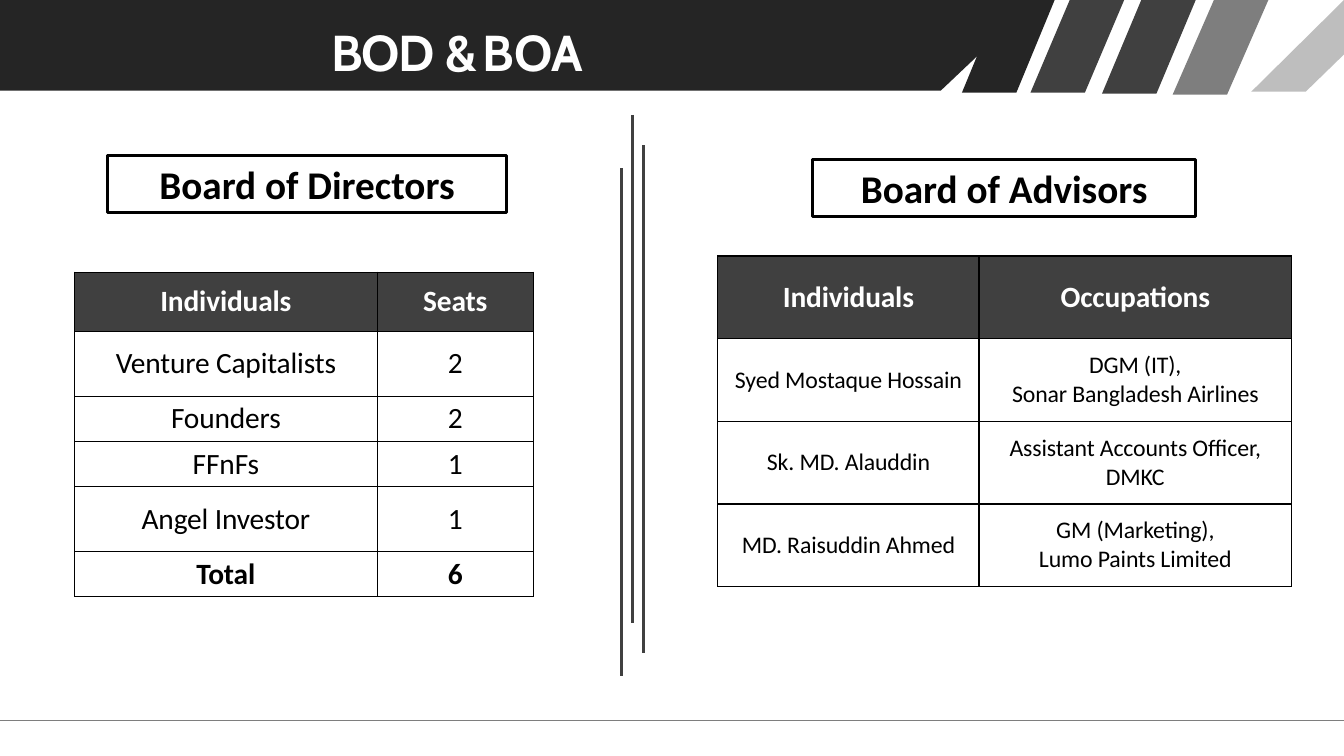
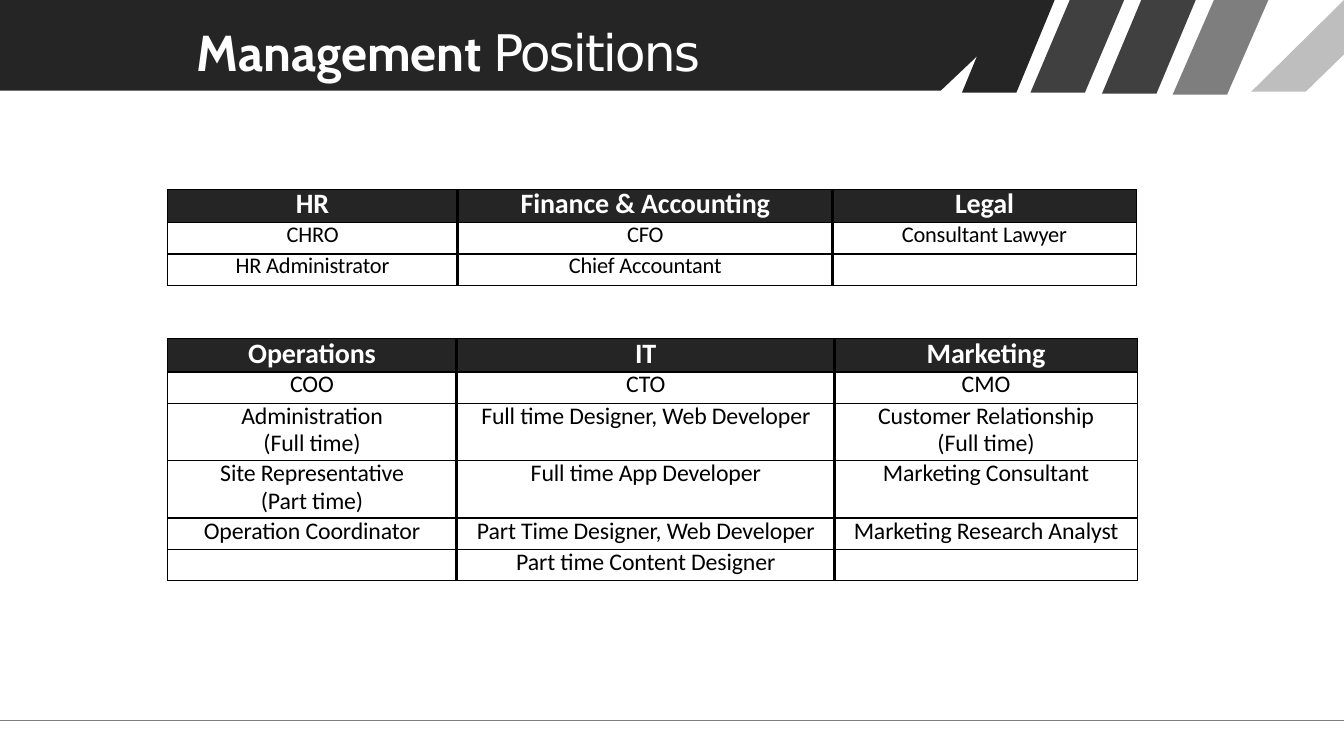
from lxml import etree
from pptx import Presentation
from pptx import util as u
from pptx.dml import color
from pptx.enum import shapes, text
from pptx.oxml import ns

PX = 9144
SLIDE_W, SLIDE_H = 1333, 750
BLACK, WHITE = "000000", "FFFFFF"
DARK, CHARCOAL, GREY, SILVER = "252525", "404040", "7E7E7E", "BEBEBE"
TITLE_FONT, LIGHT_FONT, BODY_FONT = "Cabin", "DejaVu Sans", "Calibri"
STRIPE_W = 54
STRIPES = [(954, 1046, 92, DARK), (1022, 1115, 92, CHARCOAL),
           (1093, 1186, 93, CHARCOAL), (1163, 1258, 94, GREY)]


def px(length):
    return u.Emu(length * PX)


def rgb(value):
    return color.RGBColor.from_string(value)


def add_span(para, words, size, shade, bold=False, font=BODY_FONT, spacing=0):
    span = para.add_run()
    span.text = words
    span.font.size = u.Pt(size)
    span.font.name = font
    span.font.bold = bold
    span.font.color.rgb = rgb(shade)
    if spacing:
        span.font._element.set("spc", str(round(spacing * 100)))


def clear_margins(holder):
    holder.margin_left = holder.margin_right = 0
    holder.margin_top = holder.margin_bottom = 0


def add_polygon(page, points, shade):
    builder = page.shapes.build_freeform(*points[0], scale=PX)
    builder.add_line_segments(points[1:], close=True)
    shape = builder.convert_to_shape()
    shape.shadow.inherit = False
    shape.fill.solid()
    shape.fill.fore_color.rgb = rgb(shade)
    shape.line.fill.background()


def add_line(page, start, end, shade, width):
    line = page.shapes.add_connector(
        shapes.MSO_CONNECTOR.STRAIGHT, *map(px, start + end))
    line.line.color.rgb = rgb(shade)
    line.line.width = u.Pt(width)
    etree.SubElement(line._element.spPr, ns.qn("a:effectLst"))


def add_header(page, box):
    x, y, w, h = box
    add_polygon(page, [(x + 1028, y), (x, y), (x, y + h), (x + 933, y + h)], DARK)
    for foot, top, depth, shade in STRIPES:
        add_polygon(page, [(x + top, y), (x + top - STRIPE_W, y), (x + foot, y + depth),
                           (x + foot + STRIPE_W, y + depth)], shade)
    add_polygon(page, [(x + w, y), (x + 1241, y + 91), (x + 1241 + STRIPE_W, y + 91),
                       (x + w, y + 54)], SILVER)


def add_title(page, box, spans):
    shape = page.shapes.add_textbox(*map(px, box))
    frame = shape.text_frame
    frame.word_wrap = True
    clear_margins(frame)
    frame.margin_top = px(1)
    para = frame.paragraphs[0]
    para.space_before = u.Pt(1)
    for words, bold, font, spacing in spans:
        add_span(para, words, 36, WHITE, bold, font, spacing)


def add_page(deck, title_left, title_spans):
    page = deck.slides.add_slide(deck.slide_layouts[6])
    add_header(page, (0, 0, SLIDE_W, 90))
    add_title(page, (title_left, 20, 882 - title_left, 65), title_spans)
    add_line(page, (0, 715), (SLIDE_W, 715), GREY, 0.75)
    return page


def add_label(page, box, words):
    shape = page.shapes.add_shape(shapes.MSO_SHAPE.RECTANGLE, *map(px, box))
    shape.shadow.inherit = False
    shape.fill.background()
    shape.line.color.rgb = rgb(BLACK)
    shape.line.width = u.Pt(2.25)
    frame = shape.text_frame
    frame.word_wrap = True
    frame.vertical_anchor = text.MSO_ANCHOR.MIDDLE
    clear_margins(frame)
    para = frame.paragraphs[0]
    para.alignment = text.PP_ALIGN.CENTER
    add_span(para, words, 28, BLACK, True)


def add_divider(page, box):
    x, y, w, h = box
    for across, down in [(11, 0), (w, 30), (0, 53)]:
        add_line(page, (x + across, y + down), (x + across, y + down + h - 53),
                 CHARCOAL, 2.25)


def set_borders(cell, widths):
    properties = cell._tc.get_or_add_tcPr()
    for side, width in zip("LRTB", widths):
        line = etree.SubElement(properties, ns.qn("a:ln" + side), w=str(u.Pt(width)))
        fill = etree.SubElement(line, ns.qn("a:solidFill"))
        etree.SubElement(fill, ns.qn("a:srgbClr"), val=BLACK)


def fill_cell(cell, words, size, shade, bold, leading):
    clear_margins(cell)
    cell.vertical_anchor = text.MSO_ANCHOR.TOP if leading else text.MSO_ANCHOR.MIDDLE
    for index, line in enumerate(words.split("\n")):
        frame = cell.text_frame
        para = frame.add_paragraph() if index else frame.paragraphs[0]
        para.alignment = text.PP_ALIGN.CENTER
        if leading:
            para.line_spacing = u.Pt(leading)
        if line:
            add_span(para, line, size, shade, bold, spacing=-0.1)


def add_grid(page, corner, widths, heights, rows, head_fill, head_size, body_size,
             inner=1, head_leading=None, body_leading=None, total=False):
    box = (*corner, sum(widths), sum(heights))
    table = page.shapes.add_table(len(rows), len(widths), *map(px, box)).table
    table.first_row = table.horz_banding = False
    for column, width in zip(table.columns, widths):
        column.width = px(width)
    last_row, last_column = len(rows) - 1, len(widths) - 1
    for r, (row, height) in enumerate(zip(rows, heights)):
        table.rows[r].height = px(height)
        for c, words in enumerate(row):
            cell = table.cell(r, c)
            set_borders(cell, (inner if c else 1, inner if c < last_column else 1, 1, 1))
            if r == 0:
                cell.fill.solid()
                cell.fill.fore_color.rgb = rgb(head_fill)
                fill_cell(cell, words, head_size, WHITE, True, head_leading)
            else:
                cell.fill.background()
                fill_cell(cell, words, body_size, BLACK, total and r == last_row,
                          body_leading)


def build_boards(deck):
    page = add_page(deck, 329, [("BOD ", True, TITLE_FONT, -1),
                                ("& ", True, TITLE_FONT, -3.7),
                                ("BOA", True, TITLE_FONT, -0.2)])
    add_divider(page, (616, 114, 22, 557))
    add_label(page, (107, 154, 395, 57), "Board of Directors")
    add_label(page, (806, 158, 380, 57), "Board of Advisors")
    directors = [("Individuals", "Seats"), ("Venture Capitalists", "2"),
                 ("Founders", "2"), ("FFnFs", "1"), ("Angel Investor", "1"),
                 ("Total", "6")]
    add_grid(page, (74, 270), [300, 155], [59, 64, 45, 45, 64, 45], directors,
             CHARCOAL, 21, 21, total=True)
    advisors = [("Individuals", "Occupations"),
                ("Syed Mostaque Hossain", "DGM (IT),\nSonar Bangladesh Airlines"),
                ("Sk. MD. Alauddin", "Assistant Accounts Officer,\nDMKC"),
                ("MD. Raisuddin Ahmed", "GM (Marketing),\nLumo Paints Limited")]
    add_grid(page, (712, 254), [259, 310], [82] * 4, advisors, CHARCOAL, 21, 17)


def build_management(deck):
    page = add_page(deck, 195, [("Management ", True, TITLE_FONT, 0),
                                ("Positions", False, LIGHT_FONT, -1.4)])
    support = [("HR", "Finance & Accounting", "Legal"),
               ("CHRO", "CFO", "Consultant Lawyer"),
               ("HR Administrator", "Chief Accountant", "")]
    add_grid(page, (166, 188), [288, 372, 301], [33, 31, 31], support, DARK, 20, 16,
             inner=2.25, head_leading=22.9, body_leading=18.4)
    delivery = [("Operations", "IT", "Marketing"),
                ("COO", "CTO", "CMO"),
                ("Administration\n(Full time)", "Full time Designer, Web Developer",
                 "Customer Relationship\n(Full time)"),
                ("Site Representative\n(Part time)", "Full time App Developer",
                 "Marketing Consultant"),
                ("Operation Coordinator", "Part Time Designer, Web Developer",
                 "Marketing Research Analyst"),
                ("", "Part time Content Designer", "")]
    add_grid(page, (166, 336), [287, 375, 300], [33, 31, 57, 57, 31, 31], delivery,
             DARK, 20, 17, inner=2.25, head_leading=22.9, body_leading=19.6)


def main():
    deck = Presentation()
    deck.slide_width, deck.slide_height = px(SLIDE_W), px(SLIDE_H)
    build_boards(deck)
    build_management(deck)
    deck.save("out.pptx")


if __name__ == "__main__":
    main()
